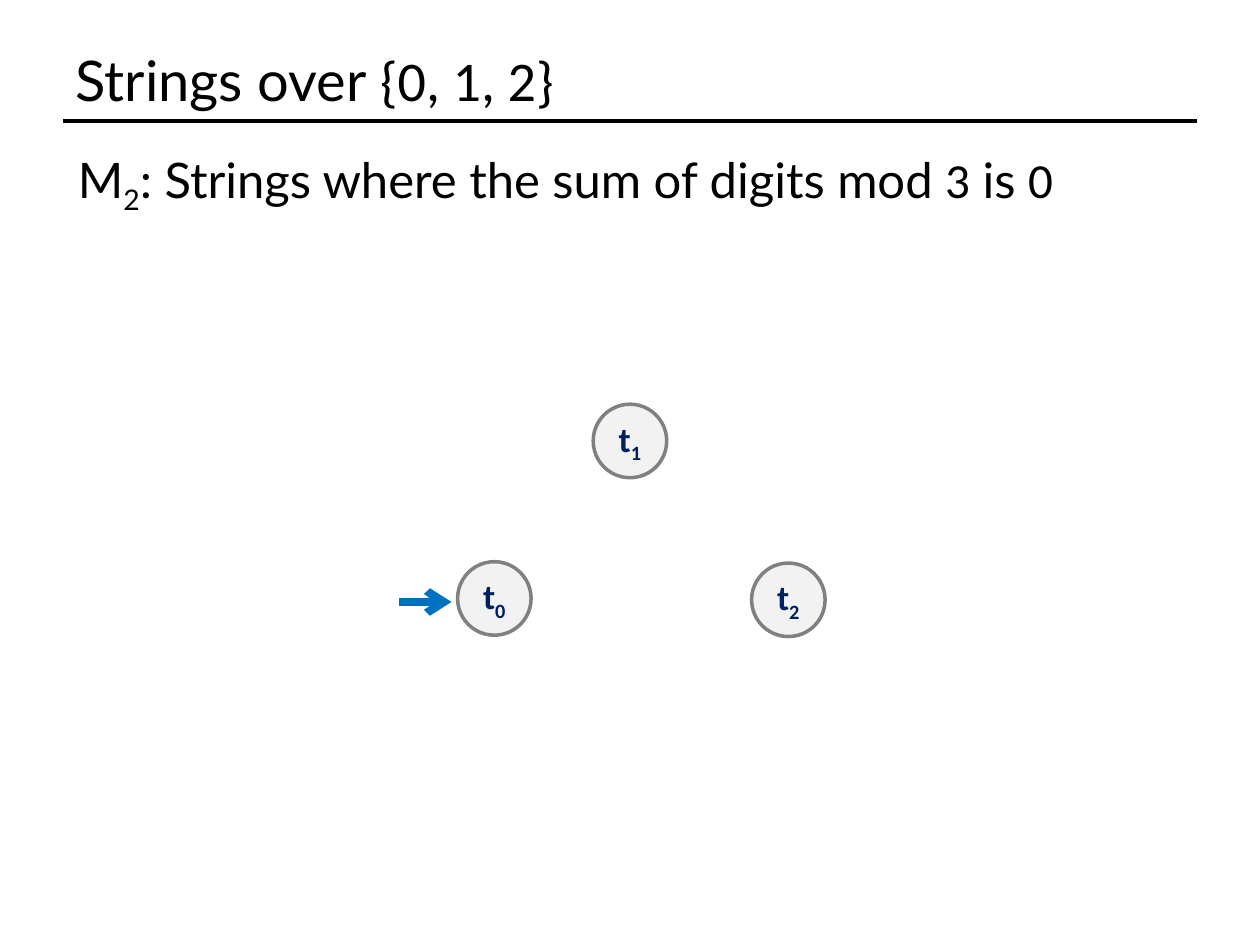
from typing import NamedTuple

import pptx
import pptx.dml.color
import pptx.enum.shapes
import pptx.enum.text
import pptx.oxml
import pptx.util
from lxml import etree

Pt = pptx.util.Pt
BLACK = "000000"
STATE_SIZE = 42


class TextRun(NamedTuple):
    text: str
    font: str = "Lato"
    subscript: bool = False


class State(NamedTuple):
    index: str
    left: float
    top: float


STATES = [State("0", 261.5, 321), State("2", 429.5, 321.75), State("1", 339, 231)]


def color(value: str) -> pptx.dml.color.RGBColor:
    return pptx.dml.color.RGBColor.from_string(value)


def write_runs(paragraph, runs: list[TextRun], size: float, value: str, bold: bool = False) -> None:
    for item in runs:
        run = paragraph.add_run()
        run.text = item.text
        run.font.name = item.font
        run.font.size = Pt(size)
        run.font.bold = bold
        run.font.color.rgb = color(value)
        if item.subscript:
            run.font._element.set("baseline", "-25000")


def add_title(slide, runs: list[TextRun]) -> None:
    title = slide.shapes.title
    title.left, title.top, title.width, title.height = Pt(36), Pt(21.6), Pt(648), Pt(47.5)
    title.text_frame.vertical_anchor = pptx.enum.text.MSO_ANCHOR.MIDDLE
    paragraph = title.text_frame.paragraphs[0]
    paragraph.alignment = pptx.enum.text.PP_ALIGN.LEFT
    write_runs(paragraph, runs, 32, BLACK)


def add_body(slide, runs: list[TextRun]) -> None:
    body = slide.shapes.add_textbox(Pt(37.5), Pt(82), Pt(648), Pt(404.5))
    body.text_frame.word_wrap = True
    write_runs(body.text_frame.paragraphs[0], runs, 28, BLACK)


def add_line(slide, left: float, right: float, y: float, value: str, width: float, arrow: bool = False) -> None:
    """Draw a horizontal line, with an open arrowhead at its right end if asked."""
    line = slide.shapes.add_connector(
        pptx.enum.shapes.MSO_CONNECTOR.STRAIGHT, Pt(left), Pt(y), Pt(right), Pt(y))
    line.line.color.rgb = color(value)
    line.line.width = Pt(width)
    if arrow:
        etree.SubElement(line.line._get_or_add_ln(), pptx.oxml.ns.qn("a:tailEnd"), type="arrow")
    etree.SubElement(line._element.spPr, pptx.oxml.ns.qn("a:effectLst"))


def add_state(slide, state: State) -> None:
    circle = slide.shapes.add_shape(
        pptx.enum.shapes.MSO_SHAPE.OVAL,
        Pt(state.left), Pt(state.top), Pt(STATE_SIZE), Pt(STATE_SIZE))
    circle.shadow.inherit = False
    circle.fill.solid()
    circle.fill.fore_color.rgb = color("F2F2F2")
    circle.line.color.rgb = color("808080")
    circle.line.width = Pt(2)
    frame = circle.text_frame
    frame.word_wrap = False
    frame.vertical_anchor = pptx.enum.text.MSO_ANCHOR.MIDDLE
    paragraph = frame.paragraphs[0]
    paragraph.alignment = pptx.enum.text.PP_ALIGN.CENTER
    runs = [TextRun("t", "Calibri"), TextRun(state.index, "Calibri", True)]
    write_runs(paragraph, runs, 20, "002060", bold=True)


def main() -> None:
    presentation = pptx.Presentation()
    presentation.slide_width, presentation.slide_height = Pt(720), Pt(540)
    slide = presentation.slides.add_slide(presentation.slide_layouts[5])
    add_line(slide, 36, 684, 69.3, BLACK, 2)
    add_title(slide, [TextRun("Strings over "), TextRun("{0, 1, 2}", "Calibri")])
    add_body(slide, [
        TextRun("M"),
        TextRun("2", subscript=True),
        TextRun(": Strings where the sum of digits mod "),
        TextRun("3", "Calibri"),
        TextRun(" is "),
        TextRun("0", "Calibri"),
    ])
    for state in STATES:
        add_state(slide, state)
    add_line(slide, 228, 258, 344, "0070C0", 4.5, arrow=True)
    presentation.save("out.pptx")


if __name__ == "__main__":
    main()
